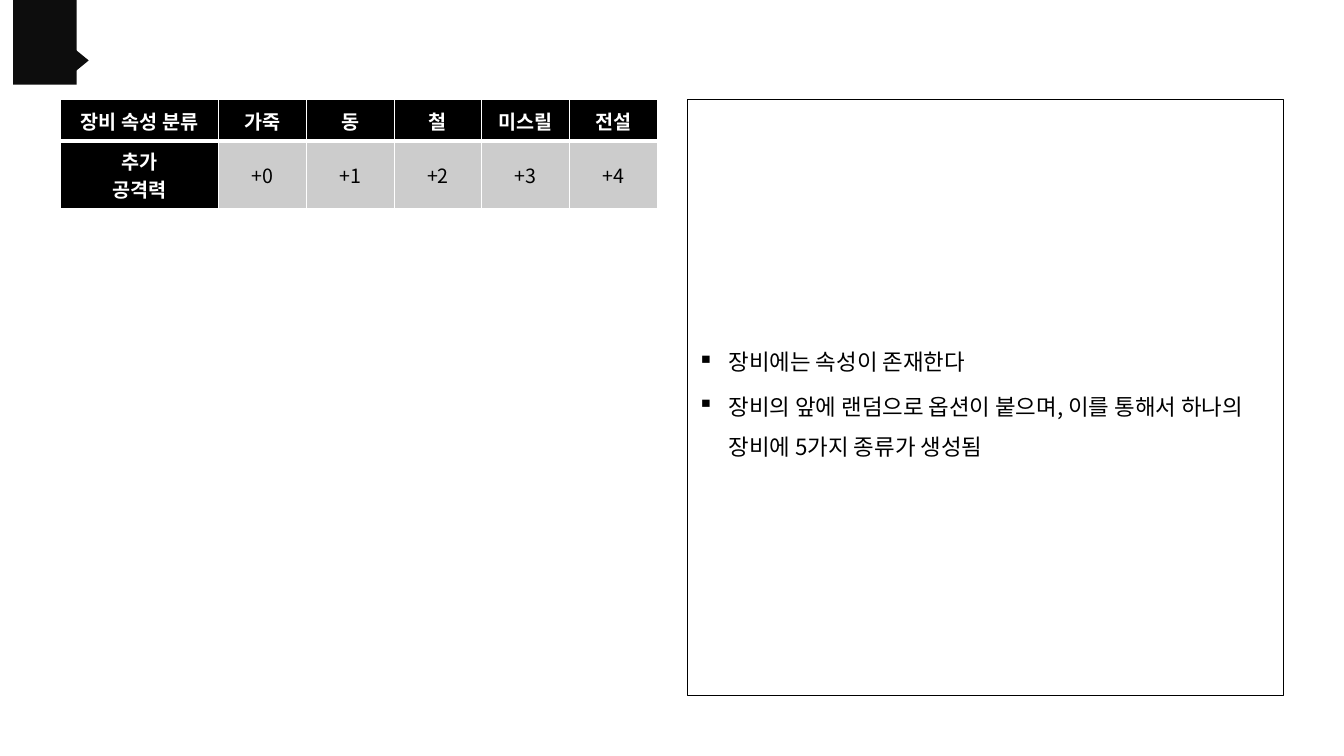
from lxml import etree
from pptx import Presentation
from pptx.dml.color import RGBColor
from pptx.enum.shapes import MSO_SHAPE as Shape
from pptx.enum.text import MSO_ANCHOR as Anchor, PP_ALIGN as Align
from pptx.oxml.ns import qn
from pptx.util import Inches, Pt

FONT = "Noto Sans CJK KR"
BLACK = RGBColor(0x00, 0x00, 0x00)
WHITE = RGBColor(0xFF, 0xFF, 0xFF)
INK = RGBColor(0x0D, 0x0D, 0x0D)
GRAY = RGBColor(0xCC, 0xCC, 0xCC)

GRADES = [
    ["장비 속성 분류", "가죽", "동", "철", "미스릴", "전설"],
    ["추가\n공격력", "+0", "+1", "+2", "+3", "+4"],
]
NOTES = [
    "장비에는 속성이 존재한다",
    "장비의 앞에 랜덤으로 옵션이 붙으며, 이를 통해서 하나의 장비에 5가지 종류가 생성됨",
]


def add_run(para, text, size, color, bold=False):
    run = para.add_run()
    run.text = text
    font = run.font
    font.size, font.bold, font.name = Pt(size), bold, FONT
    font.color.rgb = color
    latin = run._r.rPr.find(qn("a:latin"))
    east = etree.Element(qn("a:ea"), typeface=FONT)
    latin.addnext(east)


def get_para(frame, index):
    return frame.add_paragraph() if index else frame.paragraphs[0]


def add_block(slide, kind, left, top, width, height, fill=None):
    """Add a preset shape: filled without a line, or hollow with a thin one."""
    block = slide.shapes.add_shape(
        kind, Inches(left), Inches(top), Inches(width), Inches(height))
    block.shadow.inherit = False
    if fill is None:
        block.fill.background()
        block.line.color.rgb = BLACK
        block.line.width = Pt(0.75)
    else:
        block.fill.solid()
        block.fill.fore_color.rgb = fill
        block.line.fill.background()
    return block


def add_tab(slide):
    """Draw the dark corner tab with its pointer."""
    add_block(slide, Shape.RECTANGLE, 0.13, 0, 0.63, 0.84, INK)
    tip = add_block(slide, Shape.ISOSCELES_TRIANGLE, 0.59, 0.49, 0.36, 0.22, INK)
    tip.rotation = 90


def set_bullet(para):
    props = para._p.get_or_add_pPr()
    props.set("marL", str(Inches(0.31)))
    props.set("indent", str(-Inches(0.31)))
    etree.SubElement(props, qn("a:buChar"), char="▪")


def add_notes(slide):
    box = add_block(slide, Shape.RECTANGLE, 6.82, 0.99, 5.91, 5.91)
    frame = box.text_frame
    frame.word_wrap = True
    frame.vertical_anchor = Anchor.MIDDLE
    for index, note in enumerate(NOTES):
        para = get_para(frame, index)
        set_bullet(para)
        para.alignment = Align.LEFT
        para.line_spacing = 1.5
        if index:
            para.space_before = Pt(3.2)
        add_run(para, note, 16, BLACK)


def set_borders(cell, bottom):
    props = cell._tc.get_or_add_tcPr()
    for side, width in (("L", 1), ("R", 1), ("T", 1), ("B", bottom)):
        line = etree.SubElement(props, qn(f"a:ln{side}"), w=str(Pt(width)))
        fill = etree.SubElement(line, qn("a:solidFill"))
        etree.SubElement(fill, qn("a:srgbClr"), val=str(WHITE))


def fill_cell(cell, text, head, bottom):
    set_borders(cell, bottom)
    cell.fill.solid()
    cell.fill.fore_color.rgb = BLACK if head else GRAY
    cell.vertical_anchor = Anchor.MIDDLE
    for index, line in enumerate(text.split("\n")):
        para = get_para(cell.text_frame, index)
        para.alignment = Align.CENTER
        add_run(para, line, 14, WHITE if head else BLACK, head)


def add_grades(slide):
    rows, cols = len(GRADES), len(GRADES[0])
    table = slide.shapes.add_table(
        rows, cols, Inches(0.6), Inches(0.99), Inches(5.91), Inches(0.97)).table
    table.horz_banding = False
    for index, col in enumerate(table.columns):
        col.width = Inches(0.87 if index else 1.57)
    for row, height in zip(table.rows, (0.41, 0.56)):
        row.height = Inches(height)
    for r, texts in enumerate(GRADES):
        for c, text in enumerate(texts):
            head = r == 0 or c == 0
            fill_cell(table.cell(r, c), text, head, 1 if r else 3)
    # The shared edge keeps the heavy header rule
    for cell in table.rows[1].cells:
        cell._tc.tcPr.find(qn("a:lnT")).set("w", str(Pt(3)))


def main():
    deck = Presentation()
    deck.slide_width, deck.slide_height = Inches(13.33), Inches(7.5)
    slide = deck.slides.add_slide(deck.slide_layouts[6])
    add_tab(slide)
    add_notes(slide)
    add_grades(slide)
    deck.save("out.pptx")


if __name__ == "__main__":
    main()
